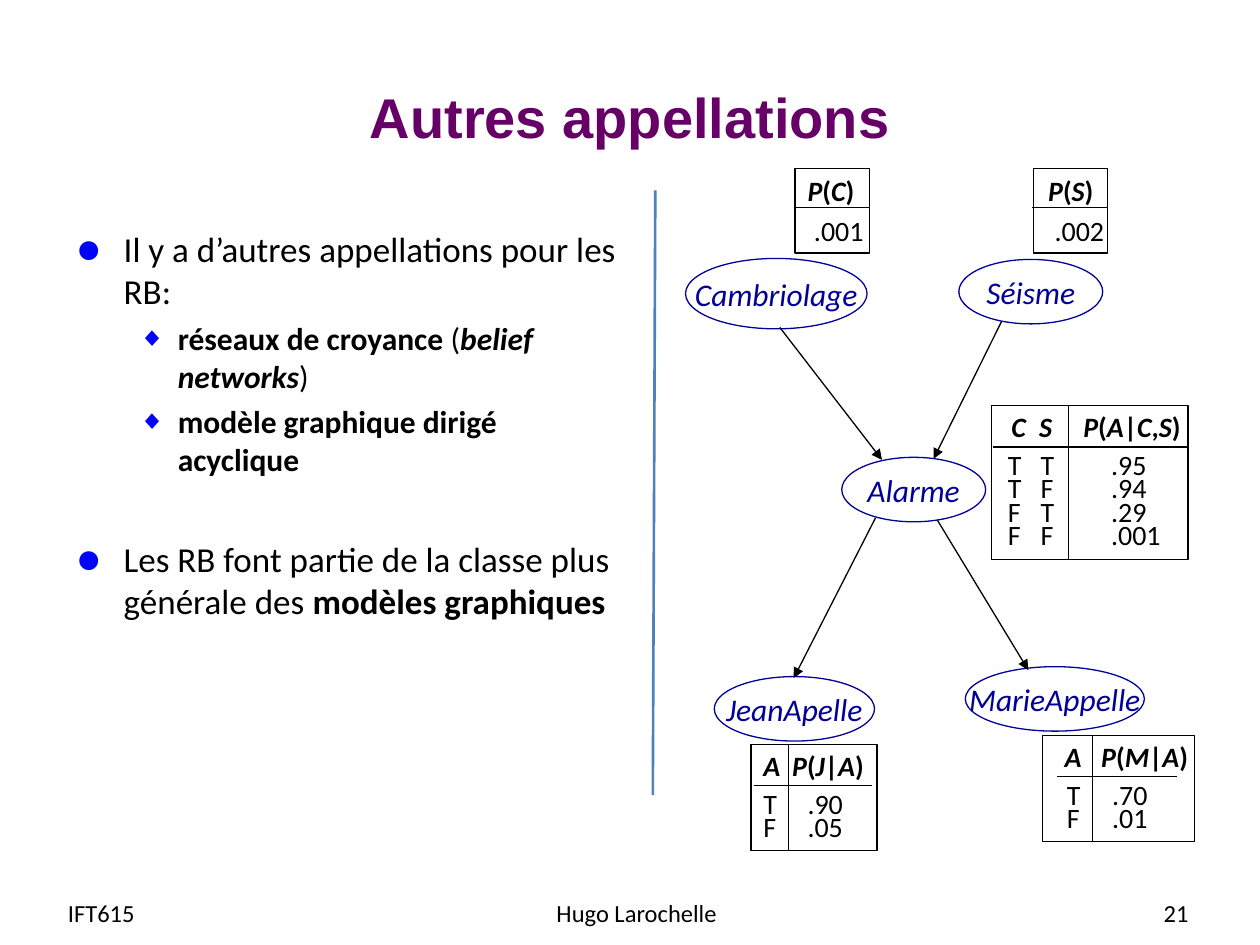
from itertools import groupby
from lxml.etree import SubElement
from pptx import Presentation
from pptx.dml.color import RGBColor
from pptx.enum.shapes import MSO_CONNECTOR as Connector, MSO_SHAPE as Shape
from pptx.enum.text import MSO_ANCHOR as Anchor, MSO_AUTO_SIZE as AutoSize, PP_ALIGN as Align
from pptx.oxml.ns import qn
from pptx.util import Cm, Pt


def color(value):
    return RGBColor.from_string(value)


def place(shape, left, top, width, height):
    shape.left, shape.top, shape.width, shape.height = map(Cm, (left, top, width, height))


class NetworkSlide:
    font = "Calibri"
    black = "000000"
    navy = "000099"
    bullet_blue = "0000FF"
    bullets = [("●", 125, 0.97, 0.97, 20), ("◆", 85, 2.06, 0.79, 18)]

    def __init__(self, page):
        self.page = page

    def style(self, span, size, shade=black, bold=False, italic=False, font=font):
        span.font.name = font
        span.font.size = Pt(size)
        span.font.color.rgb = color(shade)
        span.font.bold = bold
        span.font.italic = italic

    def spans(self, para, pieces, size):
        for text, marks in pieces:
            span = para.add_run()
            span.text = text
            self.style(span, size, bold="b" in marks, italic="i" in marks)

    def formula(self, para, text):
        pieces = [("".join(part), "bi" if letters else "b") for letters, part in groupby(text, str.isalpha)]
        self.spans(para, pieces, 16)

    def tabs(self, para, stops):
        tab_list = SubElement(para._p.get_or_add_pPr(), qn("a:tabLst"))
        for stop in stops:
            SubElement(tab_list, qn("a:tab"), pos=str(Cm(stop)), algn="l")

    def title(self, text):
        box = self.page.shapes.title
        place(box, 1.27, 0.76, 22.86, 3.18)
        frame = box.text_frame
        frame.text = text
        frame.auto_size = AutoSize.NONE
        frame.vertical_anchor = Anchor.MIDDLE
        para = frame.paragraphs[0]
        para.alignment = Align.CENTER
        self.style(para.runs[0], 32, "660066", bold=True, font="Arial")

    def body(self, items):
        box = self.page.placeholders[1]
        place(box, 1.27, 4.45, 11.43, 12.57)
        frame = box.text_frame
        frame.auto_size = AutoSize.NONE
        for index, (level, before, pieces) in enumerate(items):
            para = frame.add_paragraph() if index else frame.paragraphs[0]
            mark, percent, margin, hanging, size = self.bullets[level]
            para.level = level
            props = para._p.get_or_add_pPr()
            props.set("marL", str(Cm(margin)))
            props.set("indent", str(-Cm(hanging)))
            SubElement(SubElement(props, qn("a:buClr")), qn("a:srgbClr"), val=self.bullet_blue)
            SubElement(props, qn("a:buSzPct"), val=str(percent * 1000))
            SubElement(props, qn("a:buFont"), typeface="Arial")
            SubElement(props, qn("a:buChar"), char=mark)
            para.space_before = Pt(before)
            self.spans(para, pieces, size)

    def text_box(self, left, top, width, height):
        box = self.page.shapes.add_textbox(*map(Cm, (left, top, width, height)))
        box.text_frame.word_wrap = True
        return box.text_frame

    def footer(self, left, width, text, align):
        frame = self.text_box(left, 17.88, width, 1.02)
        frame.vertical_anchor = Anchor.MIDDLE
        frame.text = text
        para = frame.paragraphs[0]
        para.alignment = align
        self.style(para.runs[0], 14)

    def outline(self, kind, bounds, shade):
        shape = self.page.shapes.add_shape(kind, *map(Cm, bounds))
        shape.shadow.inherit = False
        shape.fill.background()
        shape.line.color.rgb = color(shade)
        shape.line.width = Pt(0.75)
        return shape

    def node(self, text, left, top, width, height=1.3):
        frame = self.outline(Shape.OVAL, (left, top, width, height), self.navy).text_frame
        frame.word_wrap = False
        frame.vertical_anchor = Anchor.MIDDLE
        frame.text = text
        para = frame.paragraphs[0]
        para.alignment = Align.CENTER
        self.style(para.runs[0], 18, self.navy, italic=True)

    def line(self, *ends, shade=black, width=0.75, arrow=False):
        link = self.page.shapes.add_connector(Connector.STRAIGHT, *map(Cm, ends))
        link.line.color.rgb = color(shade)
        link.line.width = Pt(width)
        if arrow:
            SubElement(link.line._get_or_add_ln(), qn("a:tailEnd"), type="triangle")
        SubElement(link._element.spPr, qn("a:effectLst"))

    def prior(self, left, text_left, header, value):
        self.outline(Shape.RECTANGLE, (left, 3.4, 1.5, 1.7), self.black)
        frame = self.text_box(text_left, 3.23, 1.63, 1.88)
        frame.margin_right = 0
        self.formula(frame.paragraphs[0], header)
        para = frame.add_paragraph()
        para._p.get_or_add_pPr().set("marL", str(Cm(0.13)))
        self.spans(para, [(value, "")], 16)
        for para in frame.paragraphs:
            para.line_spacing = 1.2
        self.line(left - 0.03, 4.19, left + 1.5, 4.19)

    def conditional(self, bounds, rule, divider, header, rows):
        left, top, width, height = bounds
        self.outline(Shape.RECTANGLE, bounds, self.black)
        self.line(rule[0], top + 0.83, rule[1], top + 0.83)
        self.line(divider, top, divider, top + height)
        header_left, header_width, stops, text = header
        frame = self.text_box(header_left, top - 0.05, header_width, 0.94)
        frame.margin_right = 0
        self.tabs(frame.paragraphs[0], stops)
        self.formula(frame.paragraphs[0], text)
        rows_left, rows_width, stops, lines = rows
        frame = self.text_box(rows_left, top + 0.9, rows_width, 0.27 + 0.47 * len(lines))
        frame.margin_right = 0
        frame.text = "\n".join(lines)
        for para in frame.paragraphs:
            self.tabs(para, stops)
            para.line_spacing = 0.7
            for span in para.runs:
                self.style(span, 16)


def main():
    deck = Presentation()
    deck.slide_width, deck.slide_height = Cm(25.4), Cm(19.05)
    slide = NetworkSlide(deck.slides.add_slide(deck.slide_layouts[1]))
    slide.title("Autres appellations")
    slide.body([
        (0, 0, [("Il y a d’autres appellations pour les RB:", "")]),
        (1, 4.5, [("réseaux de croyance ", "b"), ("(", ""), ("belief networks", "bi"), (")", "")]),
        (1, 4.5, [("modèle graphique dirigé acyclique", "b")]),
        (0, 34, [("Les RB font partie de la classe plus générale des ", ""), ("modèles graphiques", "b")]),
    ])
    slide.footer(1.12, 4.9, "IFT615", Align.LEFT)
    slide.footer(8.81, 8.05, "Hugo Larochelle", Align.CENTER)
    slide.footer(18.29, 5.92, "21", Align.RIGHT)
    slide.line(13.21, 3.84, 13.16, 16.03, shade="4F81BD", width=1.5)

    slide.node("Cambriolage", 13.82, 5.21, 3.66, 1.42)
    slide.node("Séisme", 19.33, 5.23, 2.9)
    slide.node("Alarme", 16.97, 9.22, 2.9)
    slide.node("JeanApelle", 14.4, 13.64, 3.23)
    slide.node("MarieAppelle", 19.46, 13.44, 3.61)

    slide.conditional((19.99, 8.18, 3.96, 3.1), (20.02, 23.93), 21.54,
                      (20.14, 3.91, (0.56, 1.45), "C\tS\tP(A|C,S)"),
                      (20.07, 3.56, (0.66, 2.08), ["T\tT\t.95", "T\tF\t.94", "F\tT\t.29", "F\tF\t.001"]))
    slide.conditional((15.14, 15.01, 2.54, 2.13), (15.19, 17.58), 15.9,
                      (15.14, 2.54, (0.58,), "A\tP(J|A)"),
                      (15.14, 2.13, (0.89,), ["T\t.90", "F\t.05"]))
    slide.conditional((21.01, 14.83, 3.07, 2.13), (21.31, 23.72), 22.02,
                      (21.21, 2.97, (0.74,), "A\tP(M|A)"),
                      (21.26, 2.13, (0.91,), ["T\t.70", "F\t.01"]))
    slide.prior(16.03, 16.03, "P(C)", ".001")
    slide.prior(20.83, 20.88, "P(S)", ".002")

    for ends in [(15.72, 6.6, 17.78, 9.27), (20.19, 6.48, 18.82, 9.25),
                 (17.65, 10.44, 16, 13.67), (18.9, 10.49, 20.73, 13.51)]:
        slide.line(*ends, arrow=True)
    deck.save("out.pptx")


if __name__ == "__main__":
    main()
